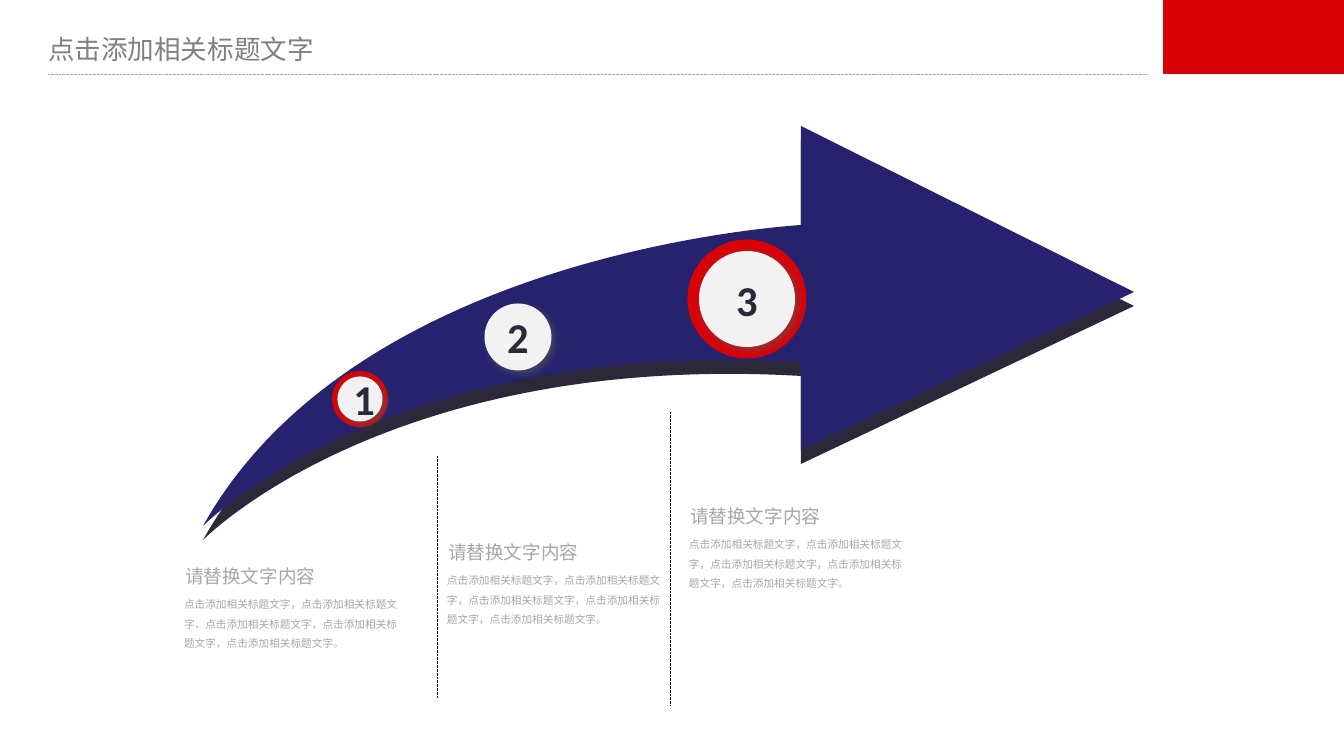
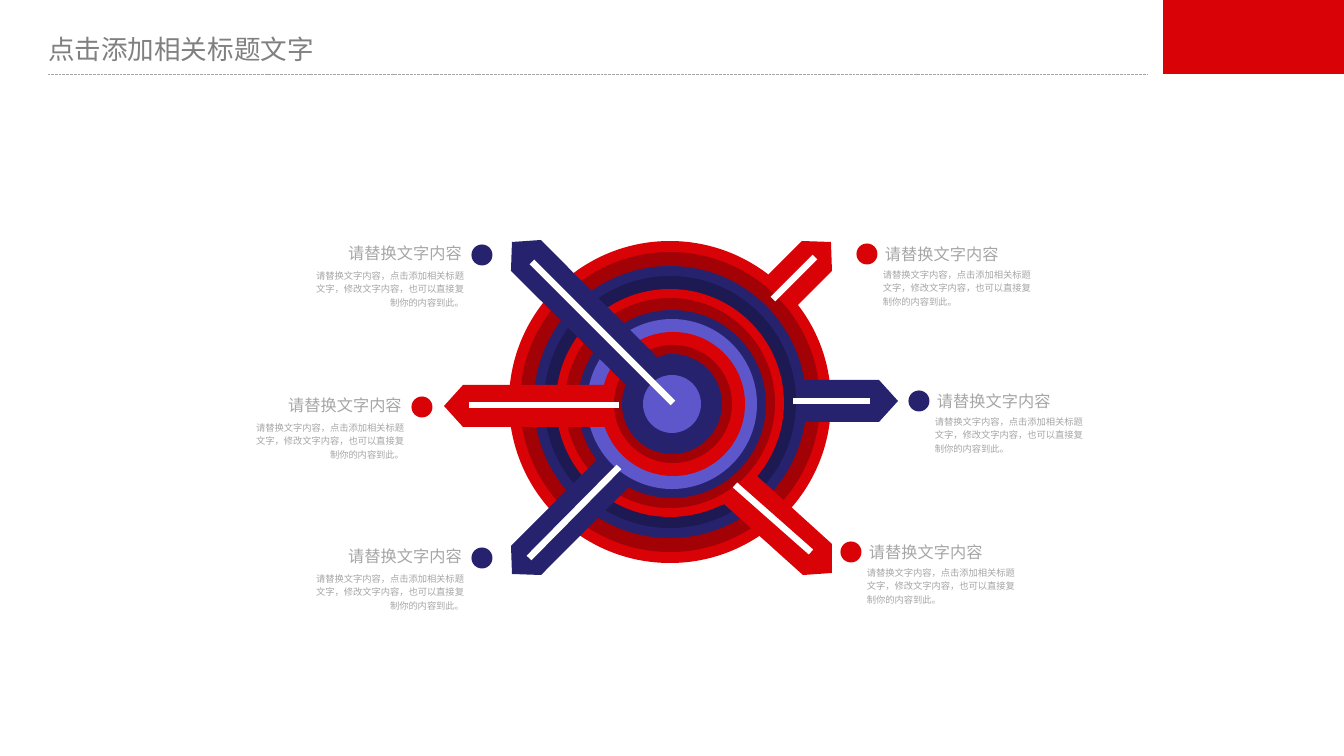
import math
from dataclasses import dataclass

import pptx
import pptx.util
import pptx.dml.color
import pptx.enum.dml
import pptx.enum.shapes
import pptx.enum.text
import pptx.oxml
import pptx.oxml.ns
from lxml import etree

SHAPE = pptx.enum.shapes.MSO_SHAPE
DASH = pptx.enum.dml.MSO_LINE
ALIGN = pptx.enum.text.PP_ALIGN
ANCHOR = pptx.enum.text.MSO_ANCHOR
FIT = pptx.enum.text.MSO_AUTO_SIZE
QN = pptx.oxml.ns.qn


@dataclass(frozen=True)
class Theme:
    red: str = "D80207"
    dark_red: str = "A20105"
    navy: str = "26226E"
    dark_navy: str = "1D1952"
    violet: str = "5D57CB"
    ink: str = "2B2939"
    title: str = "808080"
    grey: str = "A6A6A6"
    pale: str = "F2F2F2"
    white: str = "FFFFFF"
    black: str = "000000"
    shadow: str = "595959"
    font: str = "Arial"
    number_font: str = "Calibri"
    cjk_font: str = "Noto Sans CJK SC"
    title_size: float = 20
    number_size: float = 32
    heading_size: float = 14
    body_size: float = 8
    label_size: float = 12.2
    note_size: float = 7


T = Theme()
TITLE = "点击添加相关标题文字"
HEADING = "请替换文字内容"
BODY = "，".join([TITLE] * 5) + "。"
NOTE = "请替换文字内容，点击添加相关标题文字，修改文字内容，也可以直接复制你的内容到此。"


def px(n):
    return pptx.util.Emu(round(n * 914400 / 95.6))


def rgb(color):
    return pptx.dml.color.RGBColor.from_string(color)


# Basic parts
def paint(sp, color=None):
    if color:
        sp.fill.solid()
        sp.fill.fore_color.rgb = rgb(color)
    else:
        sp.fill.background()
    sp.line.fill.background()
    sp.shadow.inherit = False
    return sp


def add_preset(s, kind, box, color):
    return paint(s.shapes.add_shape(kind, *map(px, box)), color)


def add_disc(s, cx, cy, d, color, kind=SHAPE.OVAL):
    return add_preset(s, kind, (cx - d / 2, cy - d / 2, d, d), color)


def add_outline(s, steps, color=None):
    """Closed outline; a step is a point, or three points of a cubic curve."""
    pts, curve_starts = [], []
    for step in steps:
        if len(step) == 3:
            curve_starts.append(len(pts))
            pts.extend(step)
        else:
            pts.append(step)
    pts = [(px(x), px(y)) for x, y in pts]
    fb = s.shapes.build_freeform(*pts[0])
    fb.add_line_segments(pts[1:], close=True)
    sp = fb.convert_to_shape()
    nodes = list(next(sp.element.iter(QN("a:path"))))
    for start in curve_starts:
        curve = etree.Element(QN("a:cubicBezTo"))
        nodes[start].addprevious(curve)
        for node in nodes[start:start + 3]:
            curve.append(node[0])
            node.getparent().remove(node)
    return paint(sp, color)


def add_line(s, start, end, color, width, dash=None):
    c = s.shapes.add_connector(pptx.enum.shapes.MSO_CONNECTOR.STRAIGHT,
                               *map(px, (*start, *end)))
    c.line.color.rgb = rgb(color)
    c.line.width = pptx.util.Pt(width)
    if dash:
        c.line.dash_style = dash
    etree.SubElement(c.element.spPr, QN("a:effectLst"))


def style_text(tf, text, size, color, align=ALIGN.LEFT, spacing=1.0,
               font=T.font, bold=False):
    tf.text = text
    p = tf.paragraphs[0]
    p.alignment = align
    p.line_spacing = spacing
    r = p.runs[0]
    r.font.name = font
    r.font.size = pptx.util.Pt(size)
    r.font.bold = bold
    r.font.color.rgb = rgb(color)
    ea = etree.SubElement(r.font._element, QN("a:ea"))
    ea.set("typeface", T.cjk_font)


def set_frame(tf, inset_x, inset_y, anchor=ANCHOR.TOP, fit=FIT.NONE):
    tf.word_wrap = True
    tf.auto_size = fit
    tf.vertical_anchor = anchor
    tf.margin_left = tf.margin_right = px(inset_x)
    tf.margin_top = tf.margin_bottom = px(inset_y)


# Shared frame: title, dashed rule and corner block
def new_slide(prs):
    s = prs.slides.add_slide(prs.slide_layouts[5])
    add_line(s, (48, 74), (1148, 74), T.grey, 0.25, DASH.SQUARE_DOT)
    add_preset(s, SHAPE.RECTANGLE, (1163, 0, 181, 74), T.red)
    title = s.shapes.title
    title.left, title.top, title.width, title.height = map(px, (38, 29, 320, 39))
    set_frame(title.text_frame, 10, 5, ANCHOR.MIDDLE)
    style_text(title.text_frame, TITLE, T.title_size, T.title,
               font=T.cjk_font)
    return s


# Growth arrow slide
def add_growth_arrow(s, x, y, color):
    def at(dx, dy):
        return x + dx, y + dy

    tail = at(0, 400)
    add_outline(s, [at(931, 166), at(598, 0), at(598, 99),
                    (at(556, 102), at(148, 135), tail),
                    (tail, at(183, 212), at(598, 236)),
                    at(598, 324)], color)


def add_badge(s, number, cx, cy, outer, inner, color):
    for d, fill in ((outer, color), (inner, T.pale)):
        sp = add_disc(s, cx, cy, d, fill, SHAPE.ROUNDED_RECTANGLE)
        sp.adjustments[0] = 0.5
    effects = sp.element.spPr.find(QN("a:effectLst"))
    effects.append(pptx.oxml.parse_xml(
        f'<a:outerShdw {pptx.oxml.ns.nsdecls("a")} blurRad="76200" dist="38100" '
        f'dir="2700000" algn="tl" rotWithShape="0"><a:srgbClr val="{T.shadow}">'
        '<a:alpha val="64000"/></a:srgbClr></a:outerShdw>'))
    style_text(sp.text_frame, str(number), T.number_size, T.ink,
               ALIGN.CENTER, font=T.number_font, bold=True)


def add_caption(s, x, y):
    parts = (((x, y + 32, 241, 67), 9, BODY, T.body_size, 1.5, T.cjk_font),
             ((x, y, 254, 37), 10, HEADING, T.heading_size, 1.2, T.font))
    for box, inset, text, size, spacing, font in parts:
        tf = s.shapes.add_textbox(*map(px, box)).text_frame
        set_frame(tf, inset, 5, fit=FIT.SHAPE_TO_FIT_TEXT)
        style_text(tf, text, size, T.grey, spacing=spacing, font=font)


def growth_slide(prs):
    s = new_slide(prs)
    for y, color in ((140, T.ink), (126, T.navy)):
        add_growth_arrow(s, 203, y, color)
    for x, top, bottom in ((437, 456, 698), (670, 412, 705)):
        add_line(s, (x, top), (x, bottom), T.black, 0.5, DASH.ROUND_DOT)
    badges = ((360, 399, 56, 45, T.red), (518, 337, 84, 67, T.navy),
              (747, 299, 119, 96, T.red))
    for number, badge in enumerate(badges, 1):
        add_badge(s, number, *badge)
    for x, y in ((175, 555), (438, 531), (680, 495)):
        add_caption(s, x, y)


# Target slide
def arc_curves(cx, cy, radius, start, end):
    """Clockwise arc as cubic curves, split at the quarter turns."""
    quarter = math.pi / 2
    first = math.floor(start / quarter) + 1
    cuts = [start, *(k * quarter for k in range(first, math.ceil(end / quarter))), end]
    curves = []
    for a, b in zip(cuts, cuts[1:]):
        k = 4 / 3 * math.tan((b - a) / 4)
        unit = ((math.cos(a) - k * math.sin(a), math.sin(a) + k * math.cos(a)),
                (math.cos(b) + k * math.sin(b), math.sin(b) - k * math.cos(b)),
                (math.cos(b), math.sin(b)))
        curves.append(tuple((cx + radius * x, cy + radius * y) for x, y in unit))
    return curves


def add_ring(s, center, radius, core, arm, stripe, color, core_color):
    """Disc with a pointed arm; arm points run clockwise, root to root."""
    cx, cy = center
    end, start = (math.atan2(y - cy, x - cx) for x, y in (arm[0], arm[-1]))
    end = start + (end - start) % math.tau
    add_outline(s, [*arm, *arc_curves(cx, cy, radius, start, end)], color)
    add_disc(s, cx, cy, 2 * core, core_color)
    add_line(s, *stripe, T.white, 5)


def add_text_panel(s, box, inset, text, size, anchor, align):
    x, y, w, h = box
    sp = add_outline(s, [(x, y), (x + w, y), (x + w, y + h), (x, y + h)])
    set_frame(sp.text_frame, inset, inset, anchor)
    style_text(sp.text_frame, text, size, T.grey, align, 1.2)


def add_label(s, cx, cy, color, on_left):
    if on_left:
        align, edge, note, heading = ALIGN.RIGHT, cx - 18, (155, 40), (129, 21)
    else:
        align, edge, note, heading = ALIGN.LEFT, cx + 16, (150, 46), (124, 25)
    parts = ((note, 13, 0, NOTE, T.note_size, ANCHOR.TOP),
             (heading, -14, 2, HEADING, T.label_size, ANCHOR.MIDDLE))
    for (w, h), dy, inset, text, size, anchor in parts:
        x = edge - w if on_left else edge
        add_text_panel(s, (x, cy + dy, w, h), inset, text, size, anchor, align)
    add_disc(s, cx, cy, 21, color)


def target_slide(prs):
    s = new_slide(prs)
    # center, radius, core radius, arm, stripe, colours; outermost first
    rings = (
        ((670, 402), 161, 150,
         ((769, 274), (802, 241), (831, 242), (832, 271), (798, 305)),
         ((815, 257), (773, 299)), T.red, T.dark_red),
        ((670, 402), 136, 126,
         ((804, 380), (879, 380), (898, 401), (879, 422), (805, 422)),
         ((870, 401), (793, 401)), T.navy, T.dark_navy),
        ((670, 403), 114, 105,
         ((757, 476), (832, 544), (832, 573), (803, 575), (724, 504)),
         ((811, 552), (735, 485)), T.red, T.dark_red),
        ((672, 404), 94, 85,
         ((628, 488), (541, 575), (512, 574), (511, 546), (597, 460)),
         ((529, 558), (619, 467)), T.navy, T.violet),
        ((673, 404), 72, 59,
         ((605, 427), (463, 427), (444, 406), (463, 385), (604, 385)),
         ((469, 405), (619, 405)), T.red, T.dark_red),
        ((672, 404), 50, 29,
         ((627, 386), (511, 271), (512, 242), (541, 240), (658, 358)),
         ((673, 403), (532, 262)), T.navy, T.violet),
    )
    for ring in rings:
        add_ring(s, *ring)
    labels = ((867, 254, T.red, False), (919, 401, T.navy, False),
              (851, 552, T.red, False), (482, 558, T.navy, True),
              (422, 407, T.red, True), (482, 255, T.navy, True))
    for label in labels:
        add_label(s, *label)


def main():
    prs = pptx.Presentation()
    prs.slide_width, prs.slide_height = px(1344), px(756)
    growth_slide(prs)
    target_slide(prs)
    prs.save("out.pptx")


if __name__ == "__main__":
    main()
